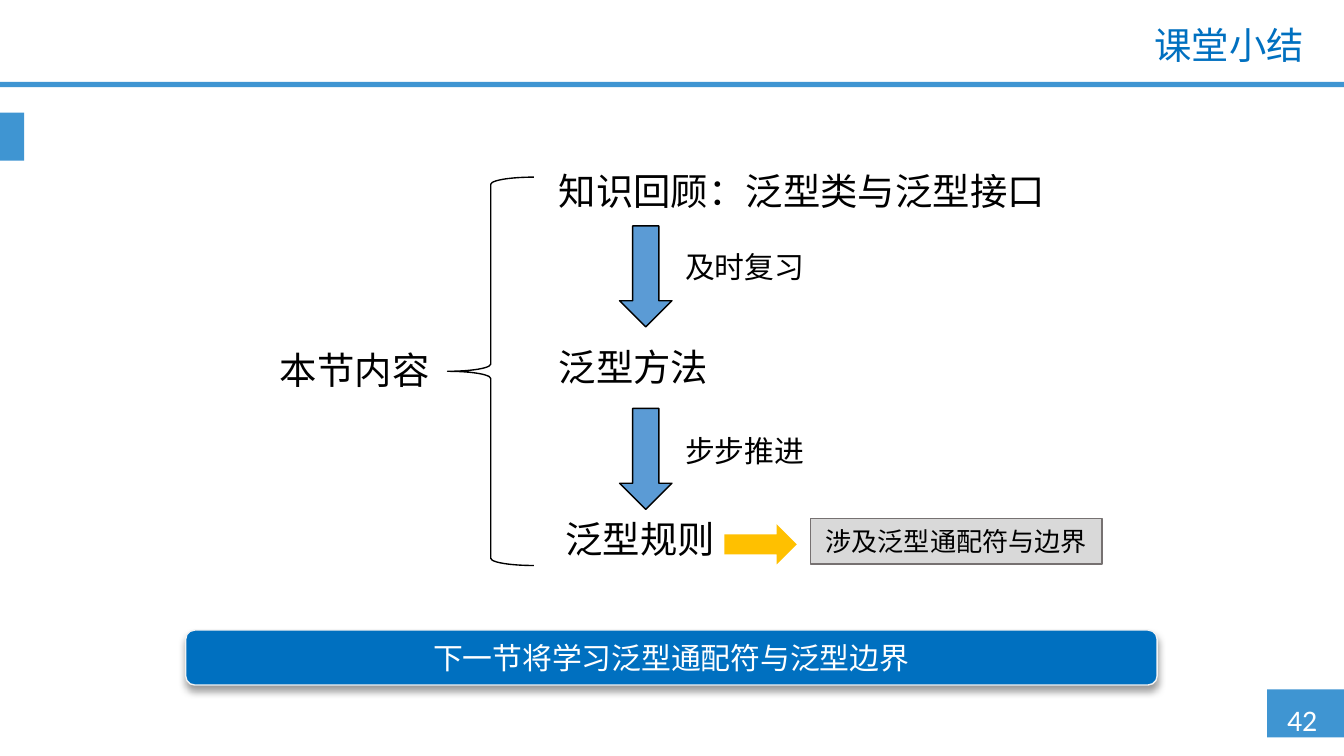
"""Build the class summary slide."""
from dataclasses import dataclass

from lxml.etree import SubElement
from pptx import Presentation
from pptx.dml.color import RGBColor
from pptx.enum.shapes import MSO_SHAPE
from pptx.enum.text import MSO_ANCHOR, PP_ALIGN
from pptx.oxml.ns import qn
from pptx.shapes.autoshape import Shape
from pptx.slide import Slide
from pptx.util import Cm, Pt

THEME = "3F95D2"
BLUE = "0070C0"
BLACK = "000000"
WHITE = "FFFFFF"


@dataclass
class Box:
    left: float
    top: float
    width: float
    height: float

    def size(self) -> list[Cm]:
        return [Cm(n) for n in (self.left, self.top, self.width, self.height)]


@dataclass
class Text:
    words: str
    size: int = 20
    color: str = BLACK
    align: PP_ALIGN = PP_ALIGN.LEFT
    font: str = "Arial"


@dataclass
class Form:
    kind: MSO_SHAPE
    box: Box
    fill: str = ""
    line: str = ""


@dataclass
class Label:
    box: Box
    text: Text
    wrap: bool = True


def paint(target, color: str) -> None:
    target.rgb = RGBColor.from_string(color)


def write(shape: Shape, text: Text, wrap: bool = True) -> None:
    frame = shape.text_frame
    frame.word_wrap = wrap
    para = frame.paragraphs[0]
    para.alignment = text.align
    run = para.add_run()
    run.text = text.words
    run.font.name = text.font
    run.font.size = Pt(text.size)
    paint(run.font.color, text.color)


def add_form(slide: Slide, form: Form) -> Shape:
    shape = slide.shapes.add_shape(form.kind, *form.box.size())
    shape.shadow.inherit = False
    if form.fill:
        shape.fill.solid()
        paint(shape.fill.fore_color, form.fill)
    else:
        shape.fill.background()
    if form.line:
        paint(shape.line.color, form.line)
        shape.line.width = Pt(0.75)
    else:
        shape.line.fill.background()
    return shape


def add_label(slide: Slide, label: Label) -> None:
    shape = slide.shapes.add_textbox(*label.box.size())
    write(shape, label.text, label.wrap)


def add_shade(shape: Shape) -> None:
    effects = shape._element.spPr.find(qn("a:effectLst"))
    shade = SubElement(effects, qn("a:outerShdw"), blurRad=str(Pt(4)),
                       dist=str(Pt(3)), dir="5400000", rotWithShape="0")
    color = SubElement(shade, qn("a:srgbClr"), val=BLACK)
    SubElement(color, qn("a:alpha"), val="40000")


def set_title(slide: Slide, box: Box, text: Text) -> None:
    title = slide.shapes.title
    title.left, title.top, title.width, title.height = box.size()
    write(title, text)
    title.text_frame.vertical_anchor = MSO_ANCHOR.MIDDLE
    title.text_frame.paragraphs[0].line_spacing = 0.9


FORMS = [
    Form(MSO_SHAPE.RECTANGLE, Box(23.95, 13.03, 1.45, 0.91), THEME),
    Form(MSO_SHAPE.RECTANGLE, Box(0, 1.55, 25.4, 0.1), THEME),
    Form(MSO_SHAPE.RECTANGLE, Box(0, 2.13, 0.46, 0.91), THEME),
    Form(MSO_SHAPE.LEFT_BRACE, Box(8.46, 3.35, 1.63, 7.34), line=BLACK),
    Form(MSO_SHAPE.RIGHT_ARROW, Box(13.69, 9.91, 1.37, 0.76), "FFC000"),
]
LABELS = [
    Label(Box(23.95, 13.13, 1.32, 0.94),
          Text("42", 16, WHITE, PP_ALIGN.CENTER, "Calibri"), False),
    Label(Box(3.71, 6.43, 5.99, 1.12), Text("本节内容", align=PP_ALIGN.CENTER)),
    Label(Box(10.31, 3.05, 11.76, 1.12), Text("知识回顾：泛型类与泛型接口")),
    Label(Box(10.31, 6.38, 11.76, 1.12), Text("泛型方法")),
    Label(Box(10.44, 9.63, 3.51, 1.12), Text("泛型规则")),
]
STEPS = [(4.27, 4.57, "及时复习"), (7.72, 8.05, "步步推进")]


def main() -> None:
    deck = Presentation()
    deck.slide_width, deck.slide_height = Cm(25.4), Cm(14.29)
    slide = deck.slides.add_slide(deck.slide_layouts[5])
    set_title(slide, Box(6.1, 0.38, 18.8, 1.04),
              Text("课堂小结", color=BLUE, align=PP_ALIGN.RIGHT))
    for form in FORMS:
        add_form(slide, form)
    for label in LABELS:
        add_label(slide, label)
    for top, text_top, words in STEPS:
        add_form(slide, Form(MSO_SHAPE.DOWN_ARROW, Box(11.71, top, 0.99, 1.91),
                             "5B9BD5", BLACK))
        add_label(slide, Label(Box(12.7, text_top, 8.86, 0.94), Text(words, 16)))
    banner = add_form(slide, Form(MSO_SHAPE.ROUNDED_RECTANGLE,
                                  Box(3.51, 11.91, 18.36, 1.04), BLUE, "F2F2F2"))
    add_shade(banner)
    write(banner, Text("下一节将学习泛型通配符与泛型边界", 16, WHITE, PP_ALIGN.CENTER))
    topic = add_form(slide, Form(MSO_SHAPE.RECTANGLE, Box(15.32, 9.8, 5.51, 0.86),
                                 "D9D9D9", "767171"))
    write(topic, Text("涉及泛型通配符与边界", 14, align=PP_ALIGN.CENTER))
    deck.save("out.pptx")


if __name__ == "__main__":
    main()
